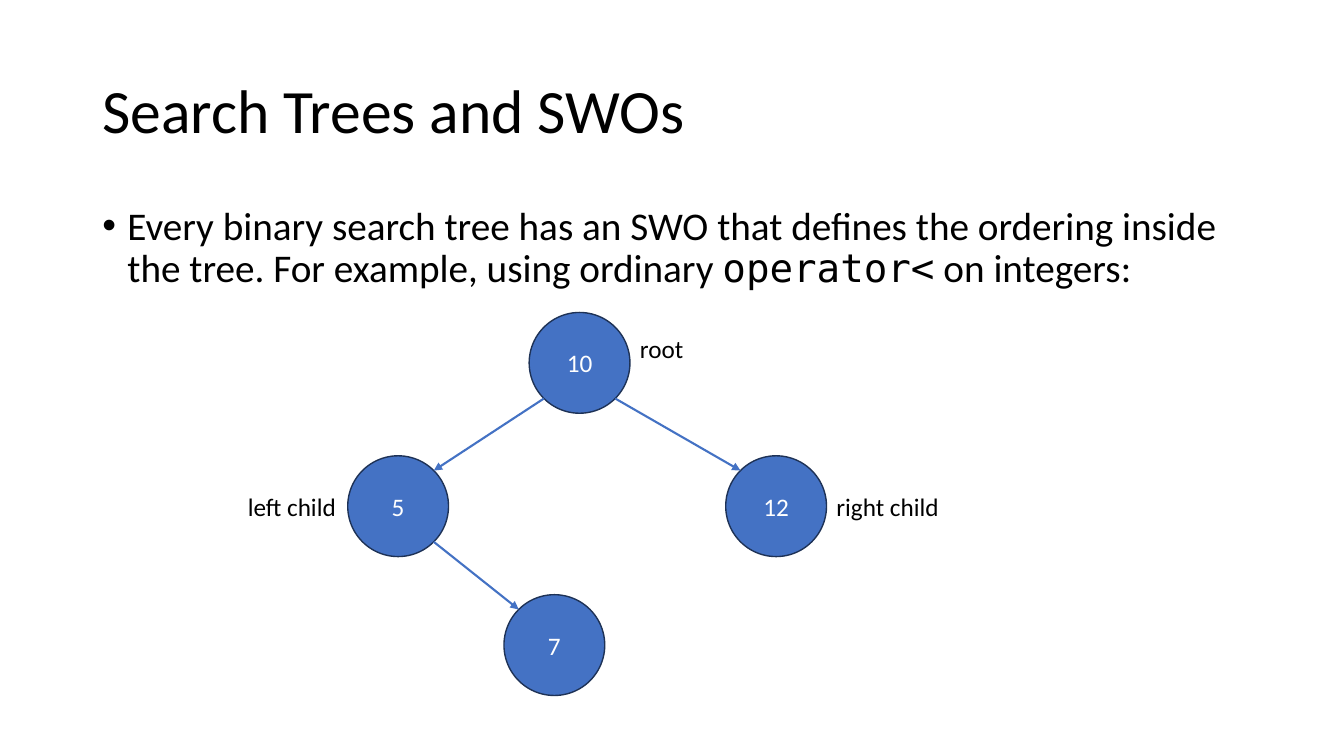
"""Build a slide showing a small binary search tree ordered by operator<."""
from math import sqrt

from lxml import etree
from pptx import Presentation
from pptx.dml.color import RGBColor
from pptx.enum.shapes import MSO_CONNECTOR, MSO_SHAPE
from pptx.enum.text import MSO_ANCHOR, MSO_AUTO_SIZE, PP_ALIGN
from pptx.oxml.ns import qn
from pptx.util import Pt

ELLIPSE = MSO_SHAPE.OVAL
STRAIGHT = MSO_CONNECTOR.STRAIGHT
TOP, MIDDLE = MSO_ANCHOR.TOP, MSO_ANCHOR.MIDDLE
LEFT, CENTER = PP_ALIGN.LEFT, PP_ALIGN.CENTER
FIT_SHAPE = MSO_AUTO_SIZE.SHAPE_TO_FIT_TEXT

THEME = {
    "text": RGBColor(0x00, 0x00, 0x00),
    "node_text": RGBColor(0xFF, 0xFF, 0xFF),
    "node": RGBColor(0x44, 0x72, 0xC4),
    "outline": RGBColor(0x1E, 0x32, 0x56),
    "font": "Calibri",
    "code_font": "DejaVu Sans Mono",
    "title_size": 44,
    "body_size": 28,
    "label_size": 18,
}

TITLE = "Search Trees and SWOs"
BODY = [
    ("Every binary search tree has an SWO that defines the ordering inside "
     "the tree. For example, using ordinary ", "font"),
    ("operator<", "code_font"),
    (" on integers:", "font"),
]
NODES = {"10": (378, 223.2), "7": (360, 424.8), "5": (248.4, 325.6), "12": (518.4, 325.6)}
EDGES = [("10", "5"), ("10", "12"), ("5", "7")]
LABELS = [
    ("root", 450, 234.8, 46),
    ("right child", 590.4, 347.2, 88.6),
    ("left child", 170, 347.2, 78.4),
]

PAGE_WIDTH, PAGE_HEIGHT = 960, 540
MARGIN, CONTENT_WIDTH = 66, 828
DIAMETER = 72
LABEL_HEIGHT = 29
BULLET_INDENT = 18


def add_span(para, text, size, color="text", font="font"):
    span = para.add_run()
    span.text = text
    span.font.name = THEME[font]
    span.font.size = Pt(THEME[size])
    span.font.color.rgb = THEME[color]


def add_box(page, left, top, width, height, anchor=TOP, wrap=True):
    box = page.shapes.add_textbox(Pt(left), Pt(top), Pt(width), Pt(height))
    box.text_frame.word_wrap = wrap
    box.text_frame.vertical_anchor = anchor
    para = box.text_frame.paragraphs[0]
    para.alignment = LEFT
    return box, para


def add_bullet(para):
    properties = para._p.get_or_add_pPr()
    properties.set("marL", str(Pt(BULLET_INDENT)))
    properties.set("indent", str(-Pt(BULLET_INDENT)))
    etree.SubElement(properties, qn("a:buFont")).set("typeface", "Arial")
    etree.SubElement(properties, qn("a:buChar")).set("char", "•")


def add_node(page, value, left, top):
    node = page.shapes.add_shape(ELLIPSE, Pt(left), Pt(top), Pt(DIAMETER), Pt(DIAMETER))
    node.shadow.inherit = False
    node.fill.solid()
    node.fill.fore_color.rgb = THEME["node"]
    node.line.color.rgb = THEME["outline"]
    node.line.width = Pt(1)
    node.text_frame.vertical_anchor = MIDDLE
    para = node.text_frame.paragraphs[0]
    para.alignment = CENTER
    add_span(para, value, "label_size", "node_text")


def add_edge(page, parent, child):
    radius = DIAMETER / 2
    diagonal = radius / sqrt(2)
    side = diagonal if child[0] > parent[0] else -diagonal
    start_x, start_y = parent[0] + radius + side, parent[1] + radius + diagonal
    end_x, end_y = child[0] + radius - side, child[1] + radius - diagonal
    edge = page.shapes.add_connector(
        STRAIGHT, Pt(start_x), Pt(start_y), Pt(end_x), Pt(end_y))
    edge.line.color.rgb = THEME["node"]
    edge.line.width = Pt(1.5)
    etree.SubElement(edge.line._get_or_add_ln(), qn("a:tailEnd")).set("type", "triangle")
    etree.SubElement(edge._element.spPr, qn("a:effectLst"))


def main():
    deck = Presentation()
    deck.slide_width, deck.slide_height = Pt(PAGE_WIDTH), Pt(PAGE_HEIGHT)
    page = deck.slides.add_slide(deck.slide_layouts[6])

    _, para = add_box(page, MARGIN, 28.8, CONTENT_WIDTH, 104.4, MIDDLE)
    para.line_spacing = 0.9
    add_span(para, TITLE, "title_size")

    _, para = add_box(page, MARGIN, 144, CONTENT_WIDTH, 342.7)
    para.line_spacing = 0.9
    add_bullet(para)
    for text, font in BODY:
        add_span(para, text, "body_size", font=font)

    for value, (left, top) in NODES.items():
        add_node(page, value, left, top)
    for parent, child in EDGES:
        add_edge(page, NODES[parent], NODES[child])
    for text, left, top, width in LABELS:
        box, para = add_box(page, left, top, width, LABEL_HEIGHT, wrap=False)
        box.text_frame.auto_size = FIT_SHAPE
        add_span(para, text, "label_size")

    deck.save("out.pptx")


if __name__ == "__main__":
    main()
